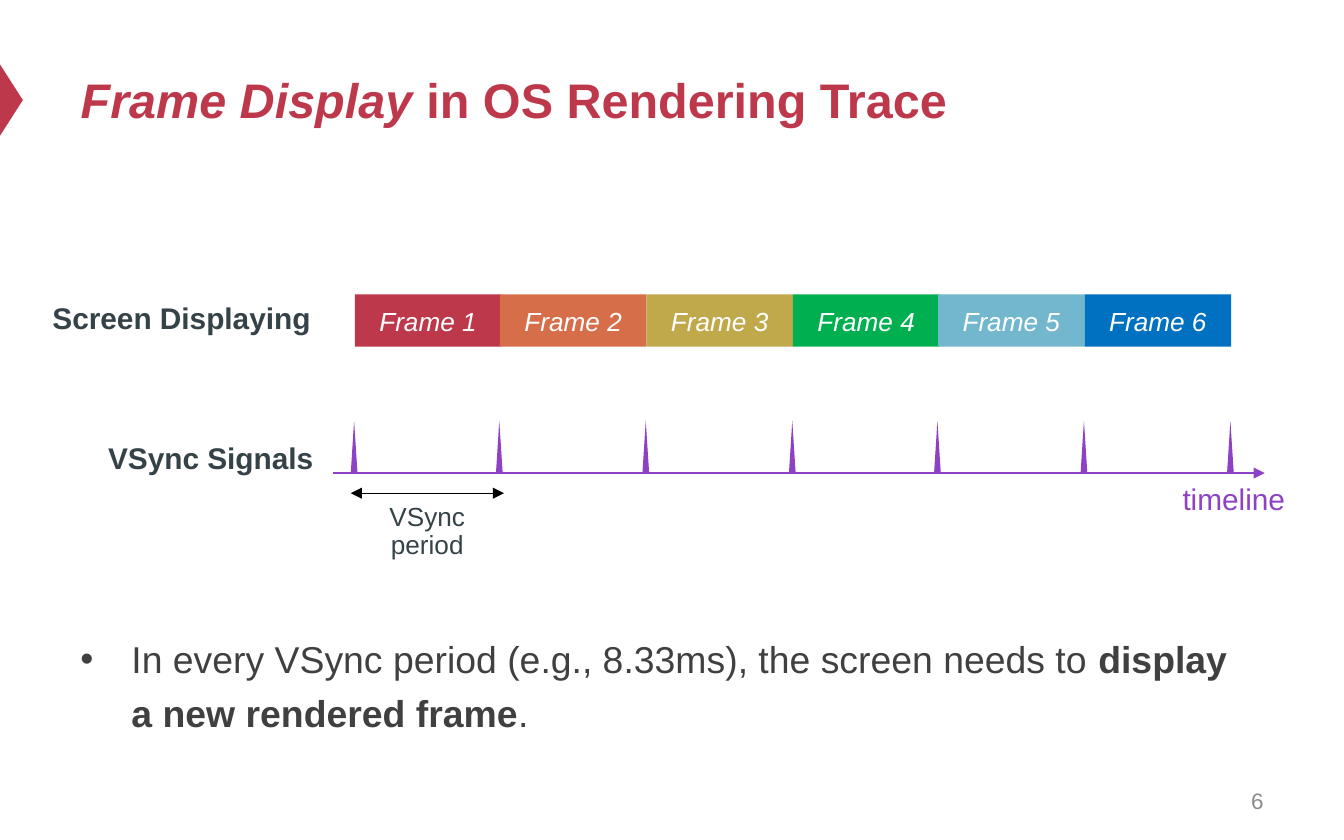
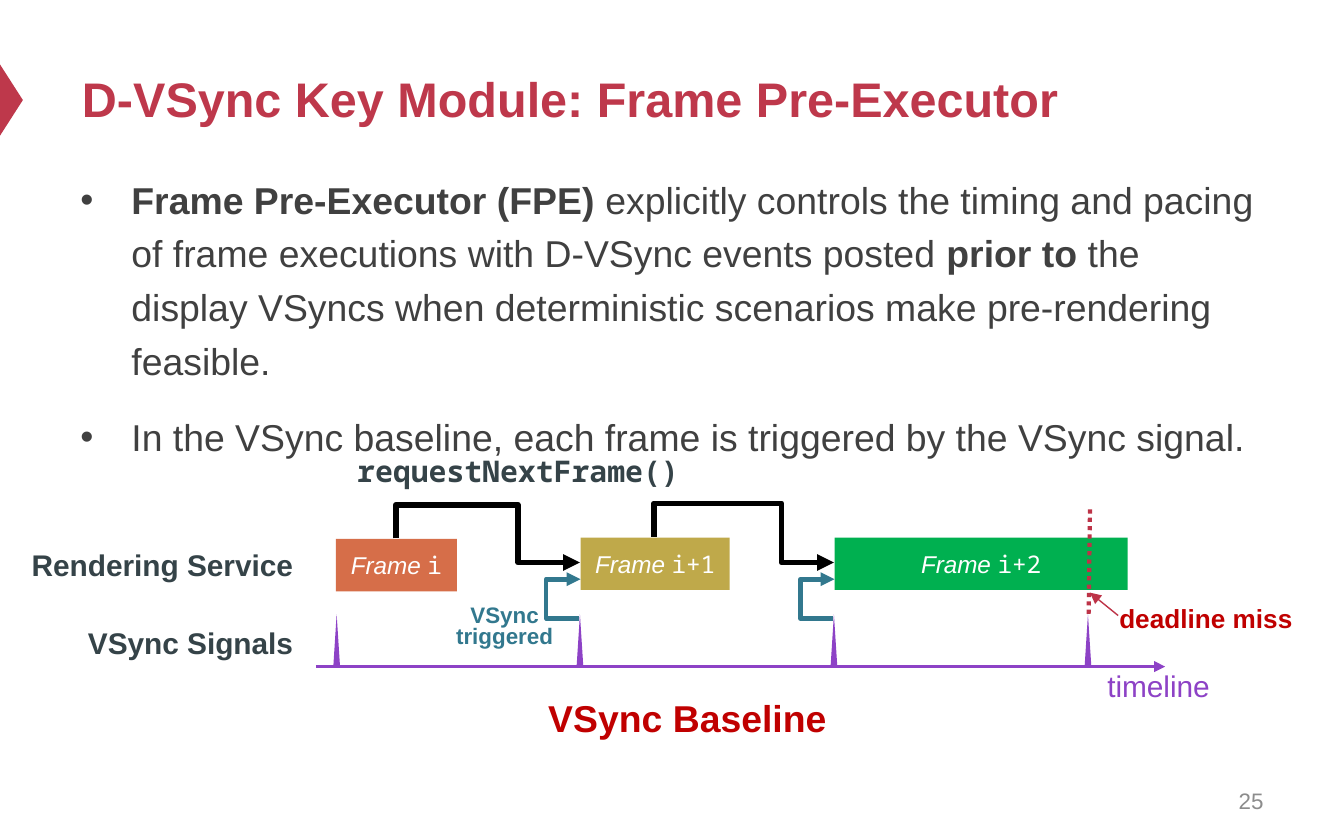
from collections.abc import Sequence
from dataclasses import dataclass
from typing import NamedTuple

from pptx import Presentation
from pptx.dml.color import RGBColor
from pptx.enum.dml import MSO_LINE
from pptx.enum.shapes import MSO_CONNECTOR, MSO_SHAPE
from pptx.enum.text import MSO_ANCHOR, MSO_AUTO_SIZE, PP_ALIGN
from pptx.oxml.ns import qn
from pptx.oxml.xmlchemy import OxmlElement
from pptx.shapes.autoshape import Shape
from pptx.shapes.connector import Connector
from pptx.slide import Slide
from pptx.text.text import TextFrame
from pptx.util import Emu, Pt

EMU_PER_PX = 9144  # 100 px to the inch
SANS, MONO = "Arial", "Noto Sans Mono"
TITLE_ONLY = 5
SPIKE_HEIGHT = FRAME_HEIGHT = 39

CRIMSON = RGBColor(0xBE, 0x38, 0x4B)
ORANGE = RGBColor(0xD6, 0x6E, 0x49)
OCHRE = RGBColor(0xBF, 0xA9, 0x4A)
GREEN = RGBColor(0x00, 0xB0, 0x50)
SKY = RGBColor(0x72, 0xB7, 0xCD)
BLUE = RGBColor(0x00, 0x70, 0xC0)
PURPLE = RGBColor(0x8D, 0x42, 0xC6)
TEAL = RGBColor(0x32, 0x78, 0x8E)
DEADLINE = RGBColor(0xBD, 0x33, 0x47)
DARK_RED = RGBColor(0xC0, 0x00, 0x00)
SLATE = RGBColor(0x35, 0x43, 0x48)
BODY = RGBColor(0x40, 0x40, 0x40)
GRAY = RGBColor(0x8C, 0x8C, 0x8C)
BLACK = RGBColor(0x00, 0x00, 0x00)
WHITE = RGBColor(0xFF, 0xFF, 0xFF)


class Box(NamedTuple):
    left: int
    top: int
    width: int
    height: int


class Point(NamedTuple):
    x: int
    y: int


class Run(NamedTuple):
    text: str
    bold: bool = False
    italic: bool = False
    font: str = SANS


@dataclass(frozen=True)
class Style:
    size: int
    color: RGBColor
    align: PP_ALIGN = PP_ALIGN.LEFT
    spacing: float = 1.0
    space_before: int = 0
    bullet_indent: int = 0


@dataclass(frozen=True)
class Frame:
    box: Box
    color: RGBColor
    runs: tuple[Run, ...]


Paragraphs = Sequence[Sequence[Run]]

TITLE = Style(26, CRIMSON)
NUMBER = Style(12, GRAY, PP_ALIGN.RIGHT)
ROW_LABEL = Style(16, SLATE, PP_ALIGN.RIGHT)
BULLETS = Style(20, BODY, spacing=1.2, space_before=12, bullet_indent=38)


def px(length: int) -> Emu:
    return Emu(length * EMU_PER_PX)


def write(text_frame: TextFrame, paragraphs: Paragraphs, style: Style) -> None:
    text_frame.word_wrap = True
    for index, runs in enumerate(paragraphs):
        paragraph = text_frame.add_paragraph() if index else text_frame.paragraphs[0]
        paragraph.alignment = style.align
        paragraph.line_spacing = style.spacing
        if index:
            paragraph.space_before = Pt(style.space_before)
        if style.bullet_indent:
            add_bullet(paragraph._p.get_or_add_pPr(), style.bullet_indent)
        for part in runs:
            run = paragraph.add_run()
            run.text = part.text
            run.font.name = part.font
            run.font.size = Pt(style.size)
            run.font.bold = part.bold
            run.font.italic = part.italic
            run.font.color.rgb = style.color


def add_bullet(properties, indent: int) -> None:
    properties.set("marL", str(px(indent)))
    properties.set("indent", str(-px(indent)))
    font = OxmlElement("a:buFont")
    font.set("typeface", SANS)
    character = OxmlElement("a:buChar")
    character.set("char", "•")
    properties.extend((font, character))


def add_text(slide: Slide, box: Box, paragraphs: Paragraphs, style: Style,
             anchor: MSO_ANCHOR = MSO_ANCHOR.TOP) -> None:
    text_frame = slide.shapes.add_textbox(*map(px, box)).text_frame
    text_frame.vertical_anchor = anchor
    write(text_frame, paragraphs, style)


def add_label(slide: Slide, box: Box, text: str, style: Style,
              bold: bool = True, font: str = SANS) -> None:
    add_text(slide, box, [[Run(text, bold, font=font)]], style)


def add_filled(slide: Slide, kind: MSO_SHAPE, box: Box, color: RGBColor) -> Shape:
    shape = slide.shapes.add_shape(kind, *map(px, box))
    shape.shadow.inherit = False
    shape.fill.solid()
    shape.fill.fore_color.rgb = color
    shape.line.fill.background()
    return shape


def add_frame(slide: Slide, frame: Frame, size: int) -> None:
    shape = add_filled(slide, MSO_SHAPE.RECTANGLE, frame.box, frame.color)
    shape.text_frame.vertical_anchor = MSO_ANCHOR.MIDDLE
    write(shape.text_frame, [frame.runs], Style(size, WHITE, PP_ALIGN.CENTER))
    shape.text_frame.word_wrap = False


def add_line(slide: Slide, start: Point, end: Point, color: RGBColor, width: float,
             arrows: Sequence[str] = ("tailEnd",),
             kind: MSO_CONNECTOR = MSO_CONNECTOR.STRAIGHT) -> Connector:
    connector = slide.shapes.add_connector(kind, *map(px, (*start, *end)))
    connector.line.color.rgb = color
    connector.line.width = Pt(width)
    for arrow in arrows:
        tip = OxmlElement(f"a:{arrow}")
        tip.set("type", "triangle")
        connector.line._get_or_add_ln().append(tip)
    connector._element.spPr.append(OxmlElement("a:effectLst"))
    return connector


def set_bends(connector: Connector, preset: str, ratios: dict[str, float]) -> None:
    geometry = connector._element.spPr.find(qn("a:prstGeom"))
    geometry.set("prst", preset)
    guides = geometry.get_or_add_avLst()
    for name, ratio in ratios.items():
        guide = OxmlElement("a:gd")
        guide.set("name", name)
        guide.set("fmla", f"val {round(ratio * 100000)}")
        guides.append(guide)


def add_request_arrow(slide: Slide, start: Point, end: Point, crest: Point) -> None:
    """Go up to crest.y, across to crest.x, down, then into the next frame."""
    width, height = end.x - start.x, end.y - start.y
    left = (start.x + end.x - height) // 2
    top = (start.y + end.y - width) // 2
    # Drawn right to left for the flip, then turned: sides swap places.
    connector = add_line(slide, Point(left + height, top), Point(left, top + width),
                         BLACK, 3, kind=MSO_CONNECTOR.ELBOW)
    connector._element.spPr.find(qn("a:xfrm")).set("rot", str(270 * 60000))
    set_bends(connector, "bentConnector4", {
        "adj1": (crest.y - start.y) / height,
        "adj2": (crest.x - start.x) / width,
    })


def add_trigger_arrow(slide: Slide, frame_left: int) -> None:
    """Loop left from a VSync spike up to the frame it triggers."""
    connector = add_line(slide, Point(frame_left - 1, 460), Point(frame_left, 431),
                         TEAL, 2.5, kind=MSO_CONNECTOR.ELBOW)
    set_bends(connector, "bentConnector3", {"adj1": -25})


def add_timeline(slide: Slide, start: Point, end_x: int, signals: Sequence[int],
                 label: Point) -> None:
    add_line(slide, start, Point(end_x, start.y), PURPLE, 1.25)
    for signal in signals:
        spike = Box(signal - 3, start.y - SPIKE_HEIGHT, 5, SPIKE_HEIGHT)
        add_filled(slide, MSO_SHAPE.ISOSCELES_TRIANGLE, spike, PURPLE)
    add_label(slide, Box(*label, 102, 37), "timeline", Style(16, PURPLE), bold=False)


def add_base_slide(presentation, title: Sequence[Run], title_box: Box, number: int) -> Slide:
    slide = presentation.slides.add_slide(presentation.slide_layouts[TITLE_ONLY])
    marker = add_filled(slide, MSO_SHAPE.ISOSCELES_TRIANGLE, Box(-18, 66, 53, 17), CRIMSON)
    marker.rotation = 90
    heading = slide.shapes.title
    heading.left, heading.top, heading.width, heading.height = map(px, title_box)
    heading.text_frame.auto_size = MSO_AUTO_SIZE.NONE
    heading.text_frame.vertical_anchor = MSO_ANCHOR.MIDDLE
    write(heading.text_frame, [title], TITLE)
    add_text(slide, Box(717, 579, 233, 33), [[Run(str(number))]], NUMBER, MSO_ANCHOR.MIDDLE)
    return slide


def build_frame_display(presentation) -> None:
    title = [Run("Frame Display ", True, True), Run("in OS Rendering Trace", True)]
    slide = add_base_slide(presentation, title, Box(50, 25, 900, 98), 6)

    colors = (CRIMSON, ORANGE, OCHRE, GREEN, SKY, BLUE)
    signals = [264 + 652 * index // len(colors) for index in range(len(colors) + 1)]
    add_timeline(slide, Point(248, 352), 941, signals, Point(870, 353))
    add_label(slide, Box(29, 322, 214, 37), "VSync Signals", ROW_LABEL)
    add_label(slide, Box(27, 218, 214, 37), "Screen Displaying", ROW_LABEL)
    for index, (left, color) in enumerate(zip(signals, colors), start=1):
        box = Box(left, 219, 109, FRAME_HEIGHT)
        add_frame(slide, Frame(box, color, (Run(f"Frame {index}", italic=True),)), 14)

    add_line(slide, Point(375, 367), Point(261, 367), BLACK, 0.75, ("headEnd", "tailEnd"))
    add_label(slide, Box(261, 370, 114, 53), "VSync period",
              Style(14, SLATE, PP_ALIGN.CENTER, 0.9), bold=False)
    add_text(slide, Box(50, 462, 883, 68), [[
        Run("In every VSync period (e.g., 8.33ms), the screen needs to "),
        Run("display a new rendered frame", True),
        Run("."),
    ]], BULLETS)


def build_pre_executor(presentation) -> None:
    title = [Run("D-VSync Key Module: Frame Pre-Executor", True)]
    slide = add_base_slide(presentation, title, Box(51, 24, 900, 98), 25)
    add_text(slide, Box(50, 120, 900, 453), [
        [
            Run("Frame Pre-Executor (FPE) ", True),
            Run("explicitly controls the timing and pacing of frame executions "
                "with D-VSync events posted "),
            Run("prior to ", True),
            Run("the display VSyncs when deterministic scenarios make "
                "pre-rendering feasible."),
        ],
        [Run("In the VSync baseline, each frame is triggered by the VSync signal.")],
    ], BULLETS)

    for box, color, name in (
        (Box(250, 401, 90, FRAME_HEIGHT), ORANGE, "i"),
        (Box(432, 400, 111, FRAME_HEIGHT), OCHRE, "i+1"),
        (Box(621, 400, 218, FRAME_HEIGHT), GREEN, "i+2"),
    ):
        runs = (Run("Frame ", italic=True), Run(name, font=MONO))
        add_frame(slide, Frame(box, color, runs), 13)
    add_label(slide, Box(4, 402, 224, 37), "Rendering Service", ROW_LABEL)
    add_label(slide, Box(14, 460, 214, 37), "VSync Signals", ROW_LABEL)

    add_line(slide, Point(832, 458), Point(811, 441), DEADLINE, 0.75)
    add_label(slide, Box(823, 446, 150, 31), "deadline miss", Style(14, DARK_RED, spacing=0.9))
    add_request_arrow(slide, Point(295, 401), Point(432, 419), Point(386, 376))
    add_request_arrow(slide, Point(487, 400), Point(621, 419), Point(582, 375))
    add_label(slide, Box(349, 516, 325, 40), "VSync Baseline",
              Style(20, DARK_RED, PP_ALIGN.CENTER, 0.9))
    deadline = add_line(slide, Point(811, 379), Point(810, 457), DEADLINE, 2.25, arrows=())
    deadline.line.dash_style = MSO_LINE.ROUND_DOT

    add_timeline(slide, Point(235, 496), 867, (251, 432, 621, 810), Point(814, 492))
    for frame_left in (432, 621):
        add_trigger_arrow(slide, frame_left)
    add_text(slide, Box(327, 446, 97, 42), [[Run("VSync", True)], [Run("triggered", True)]],
             Style(12, TEAL, PP_ALIGN.CENTER, 0.8))
    add_label(slide, Box(256, 332, 517, 37), "requestNextFrame()", Style(16, SLATE), font=MONO)


def main() -> None:
    presentation = Presentation()
    presentation.slide_width, presentation.slide_height = px(1000), px(625)
    build_frame_display(presentation)
    build_pre_executor(presentation)
    presentation.save("out.pptx")


if __name__ == "__main__":
    main()
